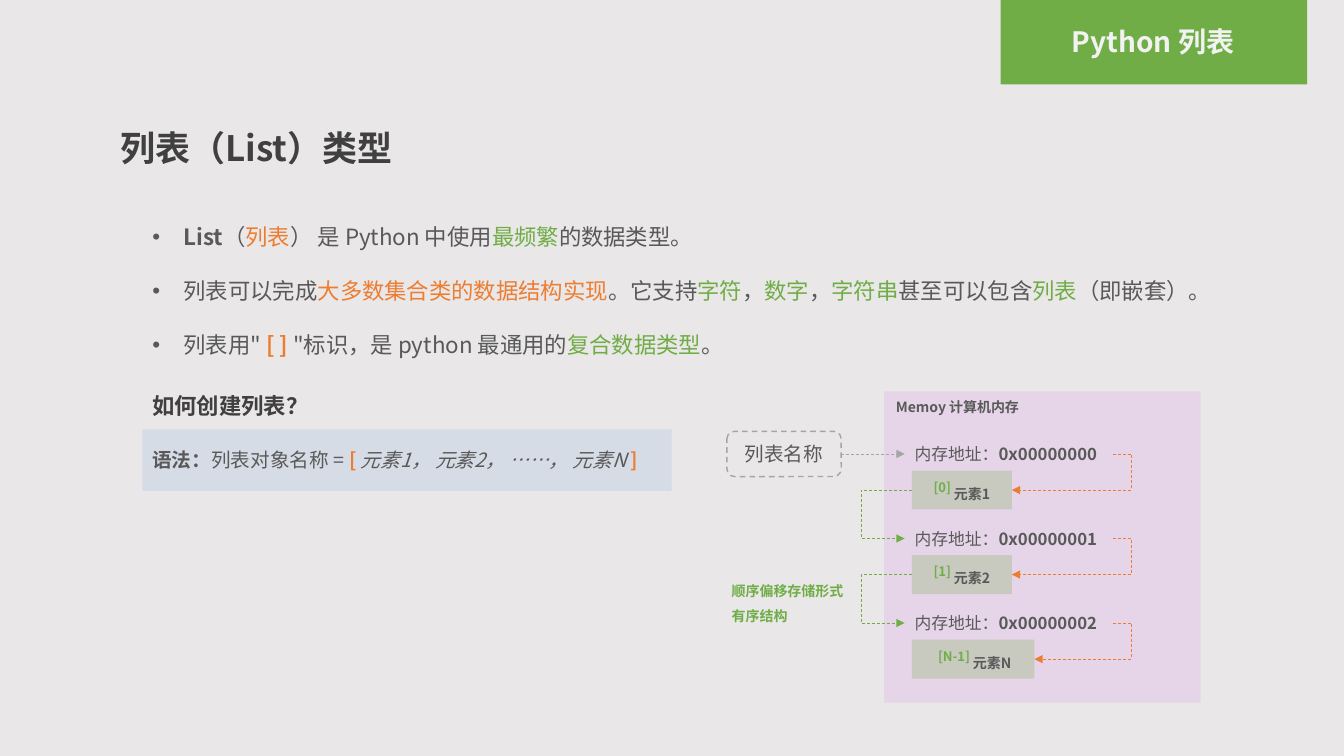
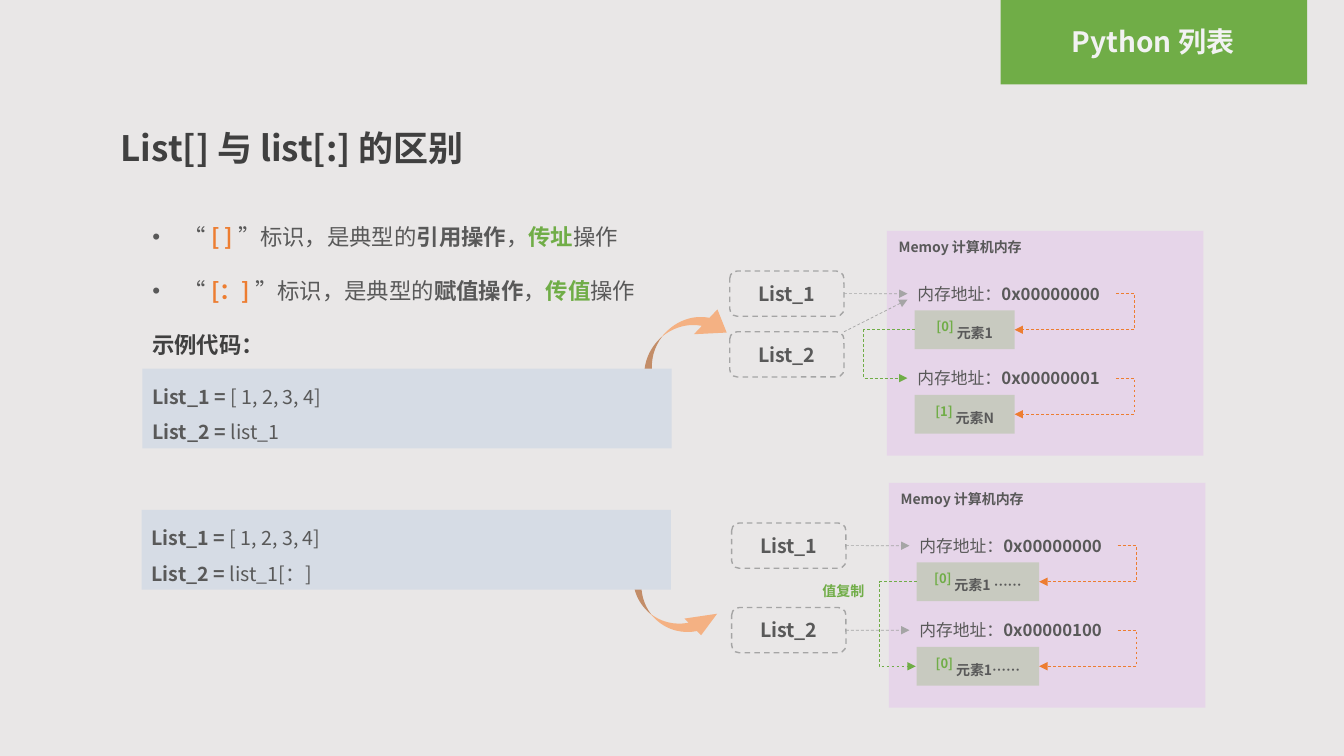
from dataclasses import dataclass
from typing import NamedTuple, Optional, Sequence

from lxml.etree import SubElement
from pptx import Presentation
from pptx.dml.color import RGBColor
from pptx.enum.dml import MSO_LINE
from pptx.enum.shapes import MSO_CONNECTOR as Link, MSO_SHAPE as Preset
from pptx.enum.text import MSO_ANCHOR as Anchor, MSO_AUTO_SIZE as AutoSize, PP_ALIGN as Align
from pptx.oxml.ns import qn
from pptx.util import Cm, Pt


@dataclass(frozen=True)
class Theme:
    font: str = "Noto Sans CJK SC"
    back: str = "E9E7E7"
    green: str = "70AD47"
    orange: str = "ED7D31"
    body: str = "595959"
    dark: str = "404040"
    pale: str = "F2F2F2"
    code: str = "D6DCE5"
    memory: str = "E0A1F1"
    grey: str = "A5A5A5"
    arrow: str = "F4B183"
    title_size: int = 25
    header_size: int = 20
    body_size: int = 16
    code_size: int = 14
    address_size: int = 12
    small_size: int = 10


THEME = Theme()


class Span(NamedTuple):
    text: str
    color: str = THEME.body
    bold: bool = False
    italic: bool = False
    size: Optional[int] = None
    raised: bool = False


class Area(NamedTuple):
    """Left, top, width and height in centimetres."""
    left: float
    top: float
    width: float
    height: float

    def lengths(self) -> list:
        return [Cm(value) for value in self]


NARROW, WIDE = 2.52, 3.09


class Cell(NamedTuple):
    index: str
    item: str
    address: str
    width: float = NARROW


class Name(NamedTuple):
    text: str
    top: float
    bold: bool = True
    to_corner: bool = False


@dataclass(frozen=True)
class Memory:
    """One memory panel, its cells and the names that point at them."""
    left: float
    top: float
    height: float
    cells: Sequence[Cell]
    names: Sequence[Name]
    copies: bool = False


PITCH = 2.13
NAME_TOP = 1.01


def green(text: str, bold: bool = False) -> Span:
    return Span(text, THEME.green, bold)


def orange(text: str, bold: bool = False) -> Span:
    return Span(text, THEME.orange, bold)


def strong(text: str) -> Span:
    return Span(text, bold=True)


def write(frame, paragraphs, size: int, spacing: float = 1, align=Align.LEFT, bullets: bool = False) -> None:
    for number, spans in enumerate(paragraphs):
        para = frame.paragraphs[0] if number == 0 else frame.add_paragraph()
        para.alignment = align
        para.line_spacing = spacing
        if bullets:
            properties = para._p.get_or_add_pPr()
            properties.set("marL", str(Cm(0.79)))
            properties.set("indent", str(-Cm(0.79)))
            SubElement(properties, qn("a:buFont"), typeface="Arial")
            SubElement(properties, qn("a:buChar"), char="•")
        for span in spans:
            run = para.add_run()
            run.text = span.text
            font = run.font
            font.size = Pt(span.size or size)
            font.bold, font.italic = span.bold, span.italic
            font.color.rgb = RGBColor.from_string(span.color)
            font.name = THEME.font
            properties = run._r.get_or_add_rPr()
            SubElement(properties, qn("a:ea"), typeface=THEME.font)
            if span.raised:
                properties.set("baseline", "30000")


def add_text(page, area: Area, paragraphs, size: int, wrap: bool = False, **style):
    box = page.shapes.add_textbox(*area.lengths())
    frame = box.text_frame
    write(frame, paragraphs, size, **style)
    frame.word_wrap = wrap
    frame.auto_size = AutoSize.SHAPE_TO_FIT_TEXT
    return box


def add_box(page, area: Area, fill: Optional[str], preset=Preset.RECTANGLE, opacity: int = 100):
    shape = page.shapes.add_shape(preset, *area.lengths())
    shape.shadow.inherit = False
    shape.line.fill.background()
    shape.text_frame.vertical_anchor = Anchor.MIDDLE
    if fill is None:
        shape.fill.background()
        return shape
    shape.fill.solid()
    shape.fill.fore_color.rgb = RGBColor.from_string(fill)
    if opacity < 100:
        color = shape.element.spPr.find(".//" + qn("a:srgbClr"))
        SubElement(color, qn("a:alpha"), val=str(opacity * 1000))
    return shape


def add_arrow(page, start, end, color: str, via: Optional[float] = None):
    """Dashed arrow; with via it bends twice, on the vertical at that x."""
    kind = Link.STRAIGHT if via is None else Link.ELBOW
    arrow = page.shapes.add_connector(kind, *[Cm(value) for value in (*start, *end)])
    arrow.line.color.rgb = RGBColor.from_string(color)
    arrow.line.width = Pt(0.5)
    arrow.line.dash_style = MSO_LINE.DASH
    SubElement(arrow.line._get_or_add_ln(), qn("a:tailEnd"), type="triangle")
    properties = arrow.element.spPr
    SubElement(properties, qn("a:effectLst"))
    if via is not None:
        ratio = round((via - start[0]) / (end[0] - start[0]) * 100000)
        guides = properties.find(qn("a:prstGeom")).get_or_add_avLst()
        SubElement(guides, qn("a:gd"), name="adj1", fmla=f"val {ratio}")
    return arrow


def add_name(page, area: Area, name: Name):
    box = add_box(page, area, None, Preset.ROUNDED_RECTANGLE)
    box.line.color.rgb = RGBColor.from_string(THEME.grey)
    box.line.width = Pt(1)
    box.line.dash_style = MSO_LINE.DASH
    write(box.text_frame, [[Span(name.text, bold=name.bold)]], THEME.code_size, align=Align.CENTER)
    return box


def add_memory(page, memory: Memory) -> None:
    left, top = memory.left, memory.top
    add_box(page, Area(left, top, 7.98, memory.height), THEME.memory, opacity=25)
    add_text(page, Area(left + 0.05, top + 0.06, 3.76, 0.69), [[strong("Memoy 计算机内存")]], THEME.small_size)

    cell_left, address_left = left + 0.7, left + 0.52
    addresses = []
    for row, cell in enumerate(memory.cells):
        row_top = top + row * PITCH
        middle = row_top + 2.49
        box = add_box(page, Area(cell_left, row_top + 2, cell.width, 0.98), THEME.green, opacity=25)
        spans = [Span(cell.index, THEME.green, True, size=THEME.body_size, raised=True), strong(cell.item)]
        write(box.text_frame, [spans], THEME.small_size, align=Align.CENTER)
        address = [Span("内存地址："), strong(cell.address)]
        addresses.append(add_text(page, Area(address_left, row_top + 1.2, 5.26, 0.76),
                                  [address], THEME.address_size))
        add_arrow(page, (left + 5.77, row_top + 1.58), (cell_left + cell.width, middle),
                  THEME.orange, left + 6.24)
        if row + 1 == len(memory.cells):
            continue
        if memory.copies:
            add_arrow(page, (cell_left, middle), (cell_left - 0.02, middle + PITCH), THEME.green, left - 0.25)
        else:
            add_arrow(page, (cell_left, middle), (address_left, row_top + PITCH + 1.58), THEME.green, left - 0.58)

    for row, name in enumerate(memory.names):
        area = Area(left - 3.96, top + name.top, 2.88, 1.14)
        box = add_name(page, area, name)
        end = (address_left, top + 1.58)
        if name.to_corner:
            add_arrow(page, (area.left + area.width, area.top), (address_left, end[1] + 0.15), THEME.grey)
        else:
            arrow = add_arrow(page, (area.left + area.width, area.top + 0.57), end, THEME.grey)
            arrow.begin_connect(box, 3)
            arrow.end_connect(addresses[row], 1)


def add_code(page, left: float, top: float, height: float, paragraphs, spacing: float = 1) -> None:
    box = add_box(page, Area(left, top, 13.34, height), THEME.code)
    write(box.text_frame, paragraphs, THEME.code_size, spacing)


def add_page(deck, title: str):
    """Title-only page with its heading and the header text on the band."""
    page = deck.slides.add_slide(deck.slide_layouts[5])
    heading = page.shapes.title
    heading.left, heading.top, heading.width, heading.height = Area(2.79, 2.54, 24.66, 1.85).lengths()
    frame = heading.text_frame
    frame.vertical_anchor = Anchor.TOP
    frame.auto_size = AutoSize.NONE
    write(frame, [[Span(title, THEME.dark, True)]], THEME.title_size, 1.5)
    add_text(page, Area(25.25, 0.58, 7.62, 1.07), [[Span("Python 列表", THEME.pale, True)]],
             THEME.header_size, wrap=True, spacing=0.9, align=Align.CENTER)
    return page


def add_points(page, height: float, points) -> None:
    add_text(page, Area(3.59, 4.83, 27.41, height), points, THEME.body_size, wrap=True, spacing=2, bullets=True)


def add_subheading(page, top: float, width: float, text: str) -> None:
    add_text(page, Area(3.59, top, width, 0.94), [[Span(text, THEME.dark, True)]], THEME.body_size)


def add_list_page(deck):
    page = add_page(deck, "列表（List）类型")
    add_points(page, 4.37, [
        [strong("List"), Span("（"), orange("列表"), Span("） 是 Python 中使用"), green("最频繁"),
         Span("的数据类型。")],
        [Span("列表可以完成"), orange("大多数集合类的数据结构实现"), Span("。它支持"), green("字符"), Span("，"),
         green("数字"), Span("，"), green("字符串"), Span("甚至可以包含"), green("列表"), Span("（即嵌套）。")],
        [Span("列表用\" "), orange("[ ] ", True), Span("\"标识，是 python 最通用的"),
         green("复合数据类型"), Span("。")],
    ])
    add_subheading(page, 9.75, 4.5, "如何创建列表？")
    add_code(page, 3.59, 10.82, 1.55, [[
        strong("语法："), Span("列表对象名称 ="), orange(" [ ", True),
        Span("元素1， 元素2， ……， 元素N ", italic=True), orange("]", True)]])
    add_memory(page, Memory(
        22.28, 9.86, 7.85,
        [Cell("[0] ", "元素1", "0x00000000"), Cell("[1] ", "元素2", "0x00000001"),
         Cell(" [N-1] ", "元素N", "0x00000002", WIDE)],
        [Name("列表名称", NAME_TOP, bold=False)]))
    add_text(page, Area(18.19, 14.33, 3.35, 1.55),
             [[green("顺序偏移存储形式", True)], [green("有序结构", True)]], THEME.small_size, spacing=1.5)
    return page


def add_difference_page(deck):
    page = add_page(deck, "List[] 与 list[:] 的区别")
    for preset, area, turn, adjustments in (
        (Preset.CURVED_RIGHT_ARROW, Area(16.28, 13.72, 1.19, 2.79), 314.8, (0.25, 0.5, 0.56)),
        (Preset.CURVED_DOWN_ARROW, Area(15.7, 8.2, 2.97, 1.12), 313.4, (0.25, 0.77, 0.51)),
    ):
        arrow = add_box(page, area, THEME.arrow, preset)
        arrow.rotation = turn
        for number, value in enumerate(adjustments):
            arrow.adjustments[number] = value

    add_points(page, 3, [
        [Span("“ "), orange(mark, True), Span("”标识，是典型的"), strong(action), Span("，"),
         green(passing, True), Span("操作")]
        for mark, action, passing in (("[ ] ", "引用操作", "传址"), ("[：] ", "赋值操作", "传值"))
    ])
    add_subheading(page, 8.23, 3.35, "示例代码：")
    for left, top, value in ((3.59, 9.29, "list_1"), (3.57, 12.85, "list_1[：]")):
        add_code(page, left, top, 2.01, [[strong("List_1 = "), Span("[ 1, 2, 3, 4]")],
                                         [strong("List_2 = "), Span(value)]], 1.5)
    add_memory(page, Memory(
        22.35, 5.82, 5.66,
        [Cell("[0] ", "元素1", "0x00000000"), Cell("[1] ", "元素N", "0x00000001")],
        [Name("List_1", NAME_TOP), Name("List_2", 2.54, to_corner=True)]))
    add_memory(page, Memory(
        22.4, 12.17, 5.66,
        [Cell("[0] ", "元素1 ……", "0x00000000", WIDE), Cell("[0] ", "元素1……", "0x00000100", WIDE)],
        [Name("List_1", NAME_TOP), Name("List_2", NAME_TOP + PITCH)], copies=True))
    add_text(page, Area(20.47, 14.55, 1.57, 0.69), [[green("值复制", True)]], THEME.small_size, align=Align.CENTER)
    return page


def main() -> None:
    deck = Presentation()
    deck.slide_width, deck.slide_height = Cm(33.87), Cm(19.05)
    background = deck.slide_master.background.fill
    background.solid()
    background.fore_color.rgb = RGBColor.from_string(THEME.back)
    page = add_list_page(deck)
    band = add_box(page, Area(25.22, 0, 7.72, 2.13), THEME.green)
    page.slide_layout.shapes.element.append(band.element)
    add_difference_page(deck)
    deck.save("out.pptx")


if __name__ == "__main__":
    main()
